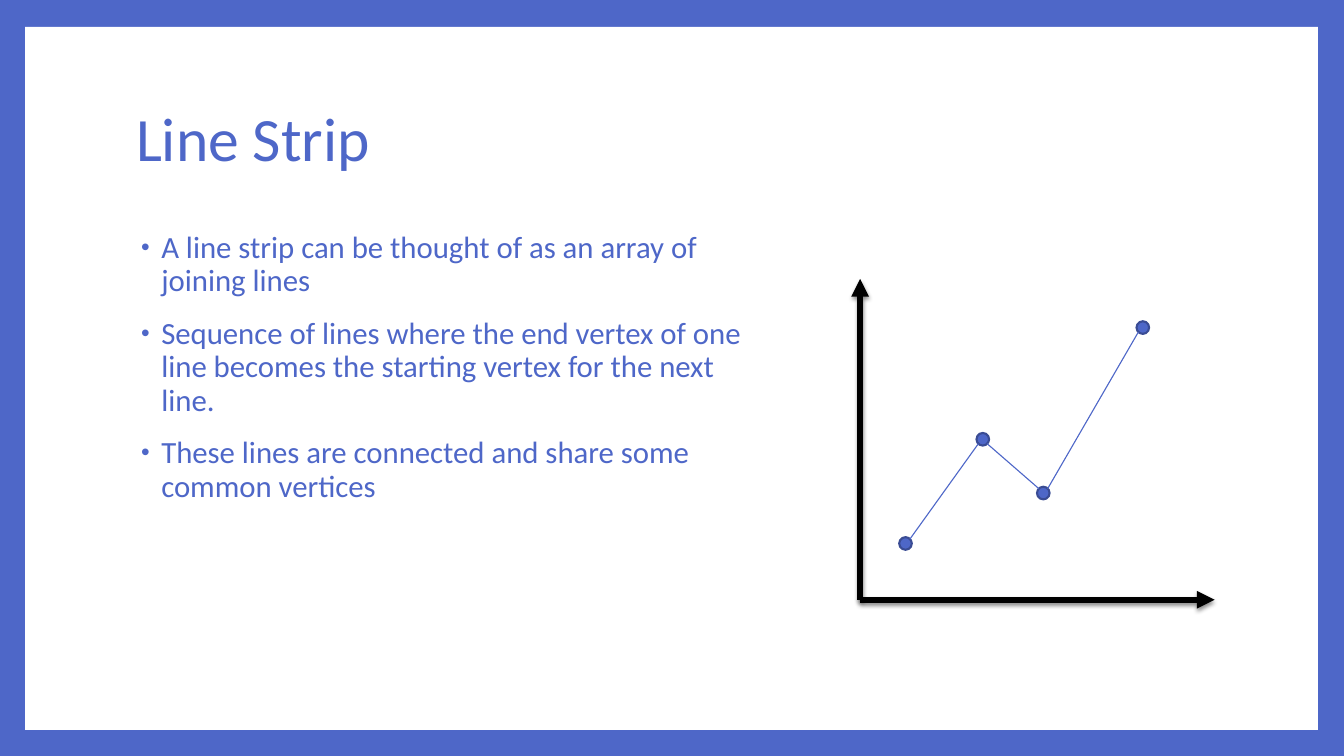
from itertools import pairwise

from lxml import etree
from pptx import Presentation
from pptx.dml.color import RGBColor
from pptx.enum.shapes import MSO_CONNECTOR, MSO_SHAPE
from pptx.enum.text import MSO_ANCHOR, MSO_AUTO_SIZE, PP_ALIGN
from pptx.oxml.ns import qn
from pptx.util import Inches, Pt

STRAIGHT = MSO_CONNECTOR.STRAIGHT
RECT, OVAL = MSO_SHAPE.RECTANGLE, MSO_SHAPE.OVAL
TOP, MIDDLE = MSO_ANCHOR.TOP, MSO_ANCHOR.MIDDLE
LEFT, NO_FIT = PP_ALIGN.LEFT, MSO_AUTO_SIZE.NONE

COLORS = {"blue": "4E67C8", "navy": "3A4C94", "white": "FFFFFF", "black": "000000"}
FONT = "Calibri"
COLS, ROWS = 160, 90
DOT = 1.5  # dot diameter in grid units

BULLETS = [
    "A line strip can be thought of as an array of joining lines",
    "Sequence of lines where the end vertex of one line becomes "
    "the starting vertex for the next line.",
    "These lines are connected and share some common vertices",
]
ORIGIN = (102.4, 71.4)
AXIS_ENDS = [(102.4, 33.2), (144.6, 71.4)]
VERTICES = [(107.8, 64.7), (117, 52.3), (124.2, 58.7), (136.05, 39)]


def rgb(name):
    return RGBColor.from_string(COLORS[name])


def add_xml(parent, tag, **attrs):
    return etree.SubElement(parent, qn(tag), {k: str(v) for k, v in attrs.items()})


class Deck:
    """Style and current slide; lengths are columns and rows of the grid."""

    def __init__(self):
        self.prs = Presentation()
        self.prs.slide_width, self.prs.slide_height = Inches(13.33), Inches(7.5)
        self.s = self.prs.slides.add_slide(self.prs.slide_layouts[1])
        fill = self.s.background.fill
        fill.solid()
        fill.fore_color.rgb = rgb("blue")

    def x(self, cols):
        return round(self.prs.slide_width * cols / COLS)

    def y(self, rows):
        return round(self.prs.slide_height * rows / ROWS)

    def box(self, x, y, w, h):
        return self.x(x), self.y(y), self.x(w), self.y(h)

    def shape(self, kind, box, fill, line=None):
        sp = self.s.shapes.add_shape(kind, *self.box(*box))
        sp.shadow.inherit = False
        sp.fill.solid()
        sp.fill.fore_color.rgb = rgb(fill)
        if line:
            sp.line.color.rgb = rgb(line)
            sp.line.width = Pt(1.5)
        else:
            sp.line.fill.background()

    def text(self, sp, box, paragraphs, size, anchor):
        """Place a placeholder and fill it; return its paragraphs."""
        sp.left, sp.top, sp.width, sp.height = self.box(*box)
        tf = sp.text_frame
        tf.word_wrap, tf.auto_size, tf.vertical_anchor = True, NO_FIT, anchor
        for i, words in enumerate(paragraphs):
            p = tf.add_paragraph() if i else tf.paragraphs[0]
            p.alignment, p.line_spacing = LEFT, 0.9
            r = p.add_run()
            r.text = words
            r.font.name, r.font.size = FONT, Pt(size)
            r.font.color.rgb = rgb("blue")
        return tf.paragraphs

    def title(self, box, words):
        self.text(self.s.shapes.title, box, [words], 44, MIDDLE)

    def bullets(self, box, items):
        for p in self.text(self.s.placeholders[1], box, items, 22, TOP):
            p.space_before = Pt(14)
            pPr = p._p.get_or_add_pPr()
            pPr.set("marL", str(Inches(0.25)))
            pPr.set("indent", str(Inches(-0.2)))
            add_xml(add_xml(pPr, "a:buClr"), "a:srgbClr", val=COLORS["blue"])
            add_xml(pPr, "a:buSzPct", val=80000)
            add_xml(pPr, "a:buFont", typeface="Arial")
            add_xml(pPr, "a:buChar", char="•")

    def line(self, start, end, color, width):
        """Draw a plain line; return it with its empty effect list."""
        c = self.s.shapes.add_connector(
            STRAIGHT, self.x(start[0]), self.y(start[1]), self.x(end[0]), self.y(end[1]))
        c.line.color.rgb = rgb(color)
        c.line.width = Pt(width)
        return c, add_xml(c._element.spPr, "a:effectLst")

    def axis(self, start, end):
        c, effects = self.line(start, end, "black", 4.25)
        add_xml(c.line._get_or_add_ln(), "a:tailEnd", type="triangle")
        shadow = add_xml(effects, "a:outerShdw", blurRad=Pt(3), dist=Pt(2),
                         dir=90 * 60000, rotWithShape=0)
        black = add_xml(shadow, "a:srgbClr", val=COLORS["black"])
        add_xml(black, "a:alpha", val=45000)

    def dot(self, x, y):
        self.shape(OVAL, (x - DOT / 2, y - DOT / 2, DOT, DOT), "blue", "navy")

    def segment(self, a, b):
        """Join two dots at the diagonal points of their rims."""
        d = 0.35 * DOT
        dy = d if b[1] > a[1] else -d
        self.line((a[0] + d, a[1] + dy), (b[0] - d, b[1] - dy), "blue", 0.79)


def main():
    deck = Deck()
    deck.shape(RECT, (3, 3.2, 153.9, 83.7), "white")
    # The white panel goes behind the placeholders
    tree = deck.s.shapes._spTree
    tree.insert(2, tree[-1])
    deck.title((15, 8, 129.6, 17.8), "Line Strip")
    deck.bullets((15, 27, 77.6, 53), BULLETS)
    for end in AXIS_ENDS:
        deck.axis(ORIGIN, end)
    for vertex in VERTICES:
        deck.dot(*vertex)
    for a, b in pairwise(VERTICES):
        deck.segment(a, b)
    deck.prs.save("out.pptx")


if __name__ == "__main__":
    main()
